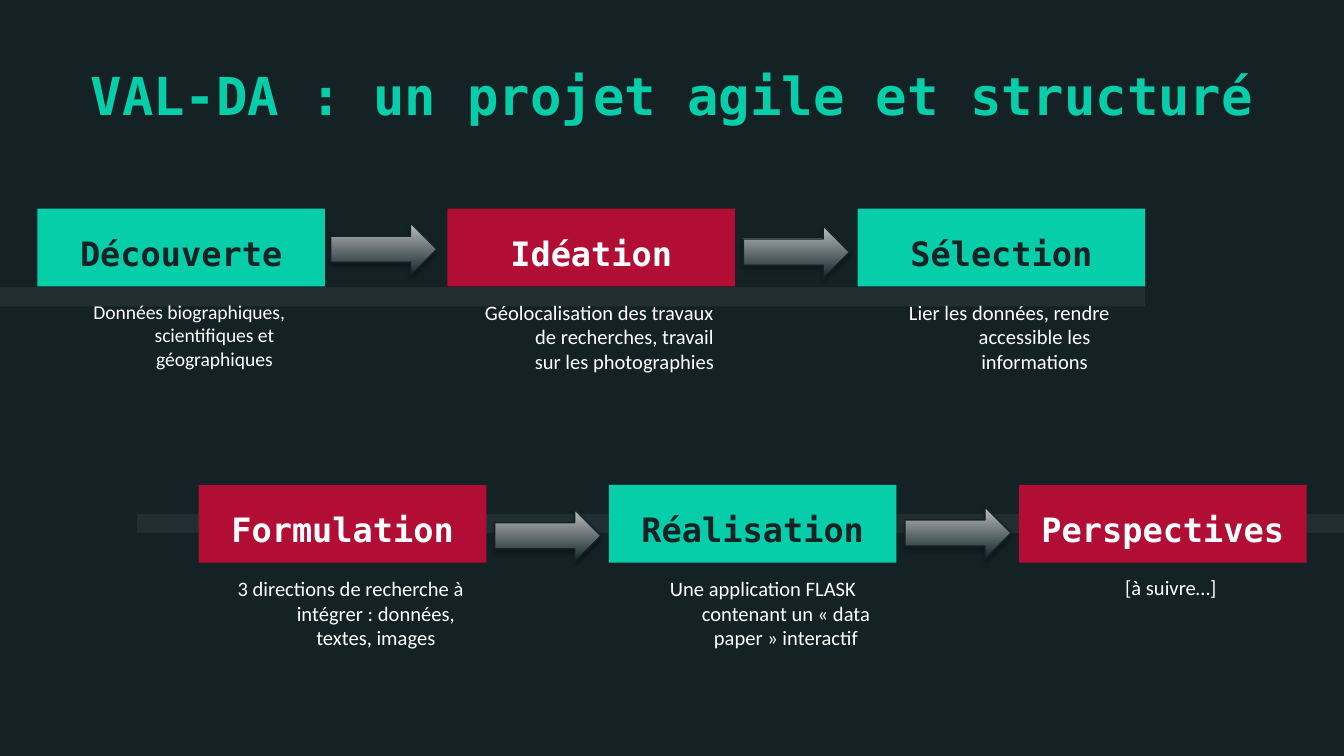
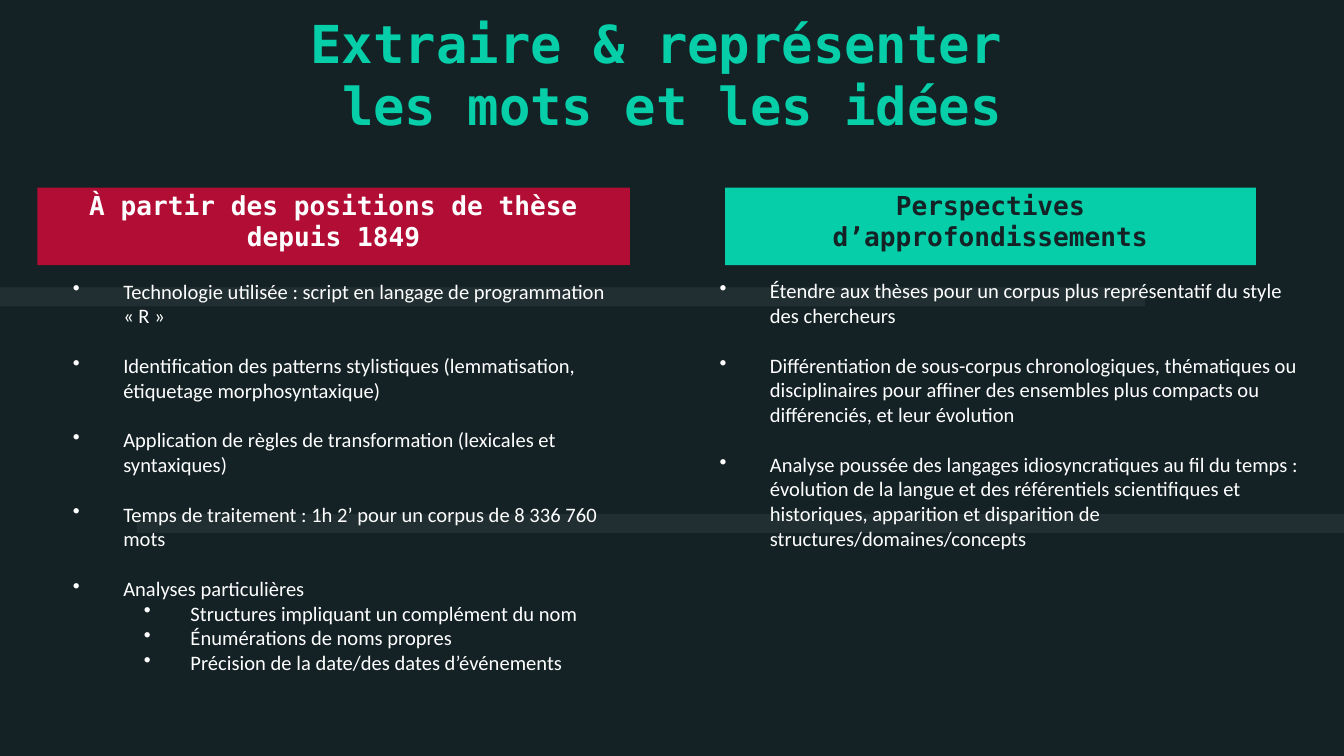
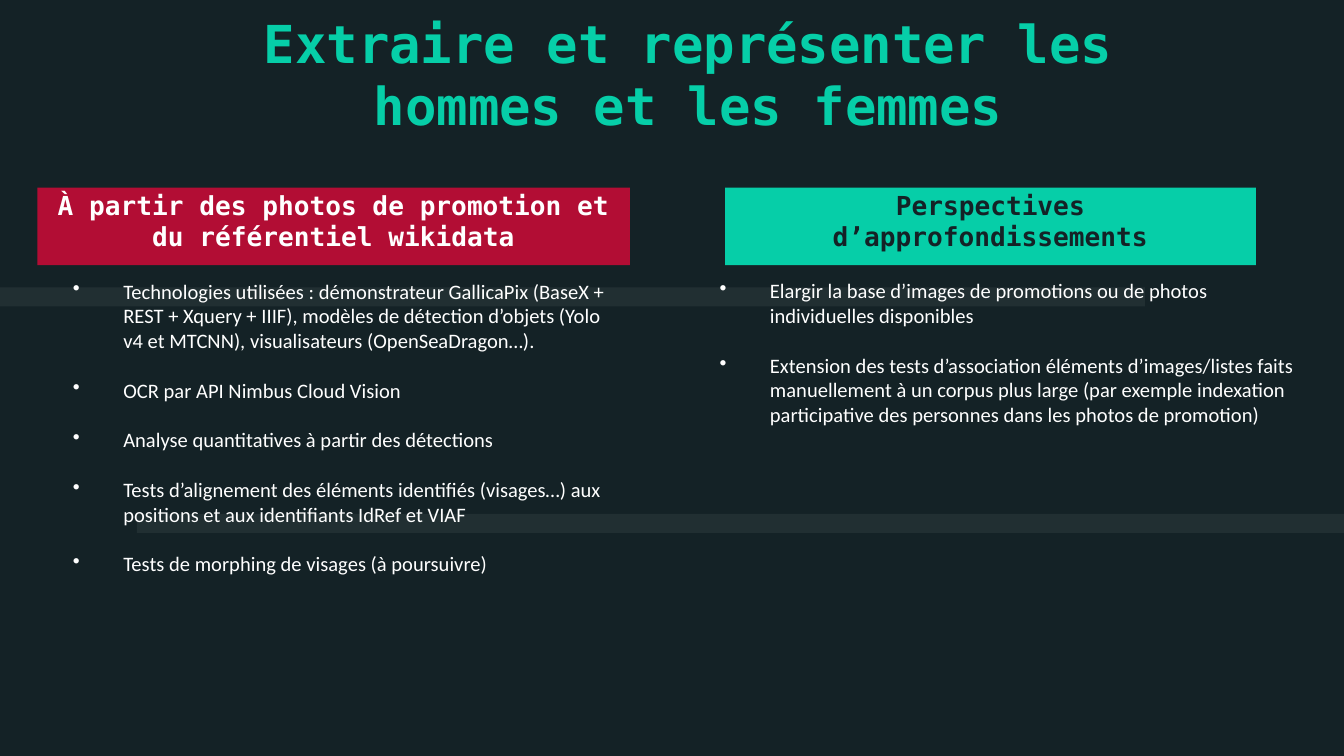
from lxml.etree import SubElement
from pptx import Presentation
from pptx.dml.color import RGBColor
from pptx.enum.shapes import MSO_SHAPE
from pptx.enum.text import MSO_ANCHOR, PP_ALIGN
from pptx.oxml.ns import qn
from pptx.util import Pt

NIGHT = RGBColor(0x14, 0x22, 0x26)
GREEN = RGBColor(0x06, 0xCE, 0xA8)
RED = RGBColor(0xB2, 0x0D, 0x34)
WHITE = RGBColor(0xFF, 0xFF, 0xFF)
ARROW_DARK = RGBColor(0x11, 0x24, 0x29)
ARROW_LIGHT = RGBColor(0xBC, 0xBE, 0xBF)
ARROW_LINE = RGBColor(0x13, 0x21, 0x26)

HEADING_FONT = "DejaVu Sans Mono"
BODY_FONT = "Calibri"

SLIDE_WIDTH, SLIDE_HEIGHT = 720, 405
INSET = 7.2
CARD_WIDTH, CARD_HEIGHT = 154.1, 41.6
CARD_PITCH = 219.7
HANGING = (36, -27)
SUB_HANGING = (72, -25)
ITEM_GAP = 13.4


class Slides:
    """Holds the shared style and the slide being filled."""

    def __init__(self):
        self.deck = Presentation()
        self.deck.slide_width = Pt(SLIDE_WIDTH)
        self.deck.slide_height = Pt(SLIDE_HEIGHT)
        background = self.deck.slide_master.background.fill
        background.solid()
        background.fore_color.rgb = NIGHT
        self.page = None

    def new_page(self, title, top, left=0, width=SLIDE_WIDTH):
        self.page = self.deck.slides.add_slide(self.deck.slide_layouts[6])
        self.band(0, 154, 613.4)
        self.band(73.4, 275.3, SLIDE_WIDTH - 73.4)
        box = self.text_box(left, top, width, 52.6)
        self.put_text(box, title, HEADING_FONT, 28, GREEN, bold=True, centred=True)

    def rectangle(self, left, top, width, height, color):
        shape = self.page.shapes.add_shape(
            MSO_SHAPE.RECTANGLE, Pt(left), Pt(top), Pt(width), Pt(height))
        shape.shadow.inherit = False
        shape.fill.solid()
        shape.fill.fore_color.rgb = color
        shape.line.fill.background()
        return shape

    def band(self, left, top, width):
        shape = self.rectangle(left, top, width, 10.2, WHITE)
        color = shape._element.spPr.find(".//" + qn("a:srgbClr"))
        SubElement(color, qn("a:alpha"), val="6000")

    def set_frame(self, shape, anchor):
        frame = shape.text_frame
        frame.word_wrap = True
        frame.vertical_anchor = anchor
        frame.margin_left = frame.margin_right = Pt(INSET)
        frame.margin_top = frame.margin_bottom = Pt(INSET)

    def text_box(self, left, top, width, height):
        box = self.page.shapes.add_textbox(Pt(left), Pt(top), Pt(width), Pt(height))
        self.set_frame(box, MSO_ANCHOR.TOP)
        return box

    def put_text(self, shape, text, font, size, color, bold=False, centred=False):
        shape.text_frame.text = text
        para = shape.text_frame.paragraphs[0]
        self.style(para, font, size, color, bold, centred)
        return para

    def style(self, para, font, size, color, bold=False, centred=False):
        para.alignment = PP_ALIGN.CENTER if centred else PP_ALIGN.LEFT
        para.font.name = font
        para.font.size = Pt(size)
        para.font.bold = bold
        para.font.color.rgb = color

    def indent(self, para, margin, first_line):
        properties = para._p.get_or_add_pPr()
        properties.set("marL", str(Pt(margin)))
        properties.set("indent", str(Pt(first_line)))
        return properties

    def card(self, left, top, text, color, width=CARD_WIDTH, size=18):
        shape = self.rectangle(left, top, width, CARD_HEIGHT, color)
        self.set_frame(shape, MSO_ANCHOR.BOTTOM)
        ink = NIGHT if color == GREEN else WHITE
        self.put_text(shape, text, HEADING_FONT, size, ink, bold=True, centred=True)

    def caption(self, left, top, text, size):
        box = self.text_box(left, top, 149, 52.6)
        para = self.put_text(box, text, BODY_FONT, size, WHITE, centred=True)
        self.indent(para, *HANGING)

    def arrow(self, left, top):
        shape = self.page.shapes.add_shape(
            MSO_SHAPE.RIGHT_ARROW, Pt(left), Pt(top), Pt(56.9), Pt(28.1))
        shape.fill.gradient()
        shape.fill.gradient_angle = 90
        for stop, color in zip(shape.fill.gradient_stops, (ARROW_DARK, ARROW_LIGHT)):
            stop.color.rgb = color
        shape.line.color.rgb = ARROW_LINE
        shape.line.width = Pt(0.75)
        # Soft shadow below the arrow
        shape.shadow.inherit = False
        effects = shape._element.spPr.find(qn("a:effectLst"))
        shadow = SubElement(effects, qn("a:outerShdw"), blurRad=str(Pt(3.1)),
                            dist=str(Pt(1.8)), dir="5400000", rotWithShape="0")
        color = SubElement(shadow, qn("a:srgbClr"), val="000000")
        SubElement(color, qn("a:alpha"), val="35000")

    def bullets(self, left, width, height, items):
        """Each item is a text, or a list of texts one level down."""
        box = self.text_box(left, 142, width, height)
        lines = []
        for item in items:
            if isinstance(item, list):
                lines += [(text, 1) for text in item]
            else:
                lines.append((item, 0))
        frame = box.text_frame
        for number, (text, level) in enumerate(lines):
            para = frame.add_paragraph() if number else frame.paragraphs[0]
            para.text = text
            para.level = level
            if number and level == 0:
                para.space_before = Pt(ITEM_GAP)
            properties = self.indent(para, *(SUB_HANGING if level else HANGING))
            color = SubElement(properties, qn("a:buClr"))
            SubElement(color, qn("a:srgbClr"), val=str(WHITE))
            SubElement(properties, qn("a:buChar"), char="•")
            self.style(para, BODY_FONT, 11, WHITE)

    def two_columns(self, heading, findings, prospects):
        self.bullets(23, 314.6, 253.4, findings)
        self.card(20, 100.5, heading, RED, width=317.5, size=14)
        self.bullets(369.4, 335.5, 230.4, prospects)
        self.card(388.4, 100.5, "Perspectives d’approfondissements", GREEN,
                  width=284.4, size=14)


def project_steps(slides):
    slides.new_page("VAL-DA : un projet agile et structuré", top=26.6)
    rows = [
        (20, 111.8, [
            ("Découverte", GREEN, 10.5,
             "Données biographiques, scientifiques et géographiques"),
            ("Idéation", RED, 11,
             "Géolocalisation des travaux de recherches, travail sur les photographies"),
            ("Sélection", GREEN, 11,
             "Lier les données, rendre accessible les informations"),
        ]),
        (106.5, 259.8, [
            ("Formulation", RED, 11,
             "3 directions de recherche à intégrer : données, textes, images"),
            ("Réalisation", GREEN, 11,
             " Une application FLASK contenant un « data paper » interactif"),
            ("Perspectives", RED, 11, "[à suivre…]"),
        ]),
    ]
    for row_left, top, steps in rows:
        for column, (name, color, size, text) in enumerate(steps):
            left = row_left + column * CARD_PITCH
            slides.caption(left + 2.4, top + CARD_HEIGHT, text, size)
            slides.card(left, top, name, color)
    for left, top in [(177.1, 119.5), (398.2, 121), (265, 273), (484.8, 271.5)]:
        slides.arrow(left, top)


def words_and_ideas(slides):
    slides.new_page("Extraire & représenter \vles mots et les idées", top=-1.4)
    slides.two_columns(
        "À partir des positions de thèse depuis 1849",
        [
            "Technologie utilisée : script en langage de programmation « R »",
            "Identification des patterns stylistiques (lemmatisation, étiquetage "
            "morphosyntaxique)",
            "Application de règles de transformation (lexicales et syntaxiques)",
            "Temps de traitement : 1h 2’ pour un corpus de 8 336 760 mots",
            "Analyses particulières",
            [
                "Structures impliquant un complément du nom",
                "Énumérations de noms propres",
                "Précision de la date/des dates d’événements",
            ],
        ],
        [
            "Étendre aux thèses pour un corpus plus représentatif du style des "
            "chercheurs",
            "Différentiation de sous-corpus chronologiques, thématiques ou "
            "disciplinaires pour affiner des ensembles plus compacts ou "
            "différenciés, et leur évolution",
            "Analyse poussée des langages idiosyncratiques au fil du temps : "
            "évolution de la langue et des référentiels scientifiques et "
            "historiques, apparition et disparition de "
            "structures/domaines/concepts",
        ])


def men_and_women(slides):
    slides.new_page("Extraire et représenter les hommes et les femmes",
                    top=-1.4, left=133.2, width=470.9)
    slides.two_columns(
        "À partir des photos de promotion et du référentiel wikidata",
        [
            "Technologies utilisées : démonstrateur GallicaPix (BaseX + REST + "
            "Xquery + IIIF), modèles de détection d’objets (Yolo v4 et MTCNN), "
            "visualisateurs (OpenSeaDragon…).",
            "OCR par API Nimbus Cloud Vision",
            "Analyse quantitatives à partir des détections",
            "Tests d’alignement des éléments identifiés (visages…) aux positions "
            "et aux identifiants IdRef et VIAF",
            "Tests de morphing de visages (à poursuivre)",
        ],
        [
            "Elargir la base d’images de promotions ou de photos individuelles "
            "disponibles",
            "Extension des tests d’association éléments d’images/listes faits "
            "manuellement à un corpus plus large (par exemple indexation "
            "participative des personnes dans les photos de promotion)",
        ])


def main():
    slides = Slides()
    project_steps(slides)
    words_and_ideas(slides)
    men_and_women(slides)
    slides.deck.save("out.pptx")


if __name__ == "__main__":
    main()
